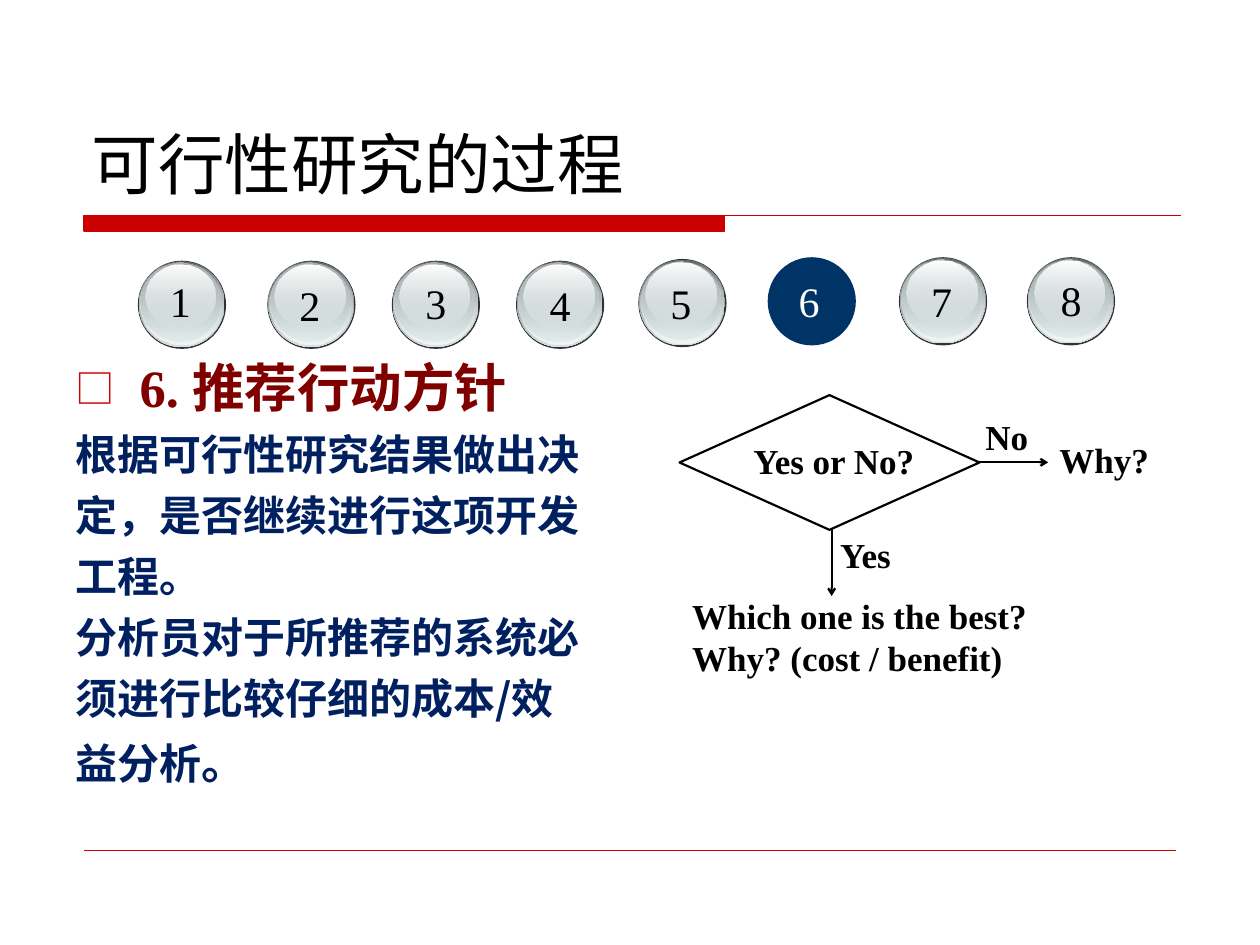
from dataclasses import dataclass
from typing import Optional

from lxml import etree
from pptx import Presentation
from pptx import util as u
from pptx.dml.color import RGBColor
from pptx.enum import shapes, text
from pptx.oxml.ns import qn

SERIF = "Times New Roman"
SANS = "Noto Sans CJK SC"
BLACK, WHITE, RED, NAVY = "000000", "FFFFFF", "CC0000", "003366"


@dataclass
class Style:
    size: float
    font: str = SERIF
    color: str = BLACK
    bold: bool = False
    justified: bool = False


@dataclass
class Layer:
    left: float
    top: float
    width: float
    height: float
    colors: tuple[str, ...]
    opacity: tuple[int, ...] = (100, 100)


@dataclass
class Step:
    number: int
    left: float
    top: float
    label_left: float
    label_top: float


@dataclass
class Label:
    lines: tuple[str, ...]
    left: float
    top: float
    width: float
    height: float


LAYERS = (
    Layer(0, 0, 50.4, 50.4, ("333333",)),
    Layer(0.5, 0.3, 49, 49, ("636869", "D6E1E2")),
    Layer(1.2, 0.6, 47.5, 47.5, ("D6E1E2", "F1F5F5"), (0, 100)),
    Layer(1.6, 1.3, 45.4, 44.6, ("AAB2B3", "D6E1E2"), (100, 48)),
    Layer(4.3, 2.2, 40.3, 36, ("FFFFFF", "D6E1E2"), (100, 38)),
)
STEPS = (
    Step(1, 78.8, 149, 90, 154),
    Step(2, 152.8, 149, 164, 156.2),
    Step(3, 223.9, 149, 236, 154.8),
    Step(4, 294.9, 149, 307, 156.2),
    Step(5, 364.8, 148, 376, 154.8),
    Step(6, 438.7, 147, 449.3, 154),
    Step(7, 513.7, 147, 525, 154),
    Step(8, 586.8, 147, 599, 153.4),
)
CURRENT_STEP = 6
LABELS = (
    Label(("Yes or No?",), 423.4, 247.7, 126.7, 36),
    Label(("No",), 556, 234, 52.6, 38),
    Label(("Yes",), 473, 301.4, 52.6, 38),
    Label(("Why?",), 598.3, 247, 79.2, 46),
    Label(("Which one is the best?", "Why? (cost / benefit)"), 388.4, 336.2, 211, 64),
)
HEADING = "6. 推荐行动方针"
BODY = (
    "根据可行性研究结果做出决",
    "定，是否继续进行这项开发",
    "工程。",
    "分析员对于所推荐的系统必",
    "须进行比较仔细的成本/效",
    "益分析",
)


def rgb(color: str) -> RGBColor:
    return RGBColor.from_string(color)


def add_child(parent, tag: str, **attributes: str):
    return etree.SubElement(parent, qn(tag), attributes)


def style_paragraph(para, style: Style) -> None:
    font = para.font
    font.size = u.Pt(style.size)
    font.bold = style.bold
    font.color.rgb = rgb(style.color)
    font.name = style.font
    properties = para._p.get_or_add_pPr().find(qn("a:defRPr"))
    add_child(properties, "a:ea", typeface=SANS)
    if style.justified:
        para.alignment = text.PP_ALIGN.JUSTIFY


def add_text(page, label: Label, style: Style, wrap: bool = True,
             anchor=text.MSO_ANCHOR.TOP) -> None:
    box = page.shapes.add_textbox(u.Pt(label.left), u.Pt(label.top), u.Pt(label.width), u.Pt(label.height))
    frame = box.text_frame
    frame.word_wrap = wrap
    frame.vertical_anchor = anchor
    frame.text = "\n".join(label.lines)
    for para in frame.paragraphs:
        style_paragraph(para, style)


def add_shape(page, kind, left: float, top: float, width: float, height: float):
    shape = page.shapes.add_shape(kind, u.Pt(left), u.Pt(top), u.Pt(width), u.Pt(height))
    shape.shadow.inherit = False
    return shape


def add_line(page, start: tuple[float, float], end: tuple[float, float],
             color: str, width: float, arrow: bool = False) -> None:
    connector = page.shapes.add_connector(
        shapes.MSO_CONNECTOR.STRAIGHT, *(u.Pt(value) for value in start + end))
    connector.line.color.rgb = rgb(color)
    connector.line.width = u.Pt(width)
    if arrow:
        add_child(connector.line._get_or_add_ln(), "a:tailEnd", type="arrow", w="sm", len="sm")
    add_child(connector._element.spPr, "a:effectLst")


def add_title_rule(page) -> None:
    left, bar_right, right, top, bottom = 48, 414.5, 674.6, 123.3, 132
    builder = page.shapes.build_freeform(left, top, scale=u.Pt(1))
    builder.add_line_segments([(bar_right, top), (bar_right, bottom), (left, bottom)])
    builder.move_to(left, top)
    builder.add_line_segments([(right, top)], close=False)
    rule = builder.convert_to_shape()
    rule.shadow.inherit = False
    rule.fill.solid()
    rule.fill.fore_color.rgb = rule.line.color.rgb = rgb(RED)
    rule.line.width = u.Pt(0.75)


def add_layer(page, step: Step, layer: Layer, color: Optional[str]) -> None:
    disc = add_shape(page, shapes.MSO_SHAPE.OVAL, step.left + layer.left,
                     step.top + layer.top, layer.width, layer.height)
    disc.line.fill.background()
    if color or len(layer.colors) == 1:
        disc.fill.solid()
        disc.fill.fore_color.rgb = rgb(color or layer.colors[0])
        return
    disc.fill.gradient()
    disc.fill.gradient_angle = 270
    for position, (stop, shade) in enumerate(zip(disc.fill.gradient_stops, layer.colors)):
        stop.position = position
        stop.color.rgb = rgb(shade)
    tints = disc._element.spPr.iter(qn("a:srgbClr"))
    for tint, opacity in zip(list(tints), layer.opacity):
        if opacity < 100:
            add_child(tint, "a:alpha", val=str(opacity * 1000))


def add_step(page, step: Step) -> None:
    current = step.number == CURRENT_STEP
    for layer in LAYERS:
        add_layer(page, step, layer, NAVY if current else None)
    label = Label((str(step.number),), step.label_left, step.label_top, 26, 36)
    add_text(page, label, Style(24, color=WHITE if current else BLACK), wrap=False)


def add_body(page) -> None:
    box = page.shapes.add_textbox(u.Pt(36), u.Pt(199.4), u.Pt(328.3), u.Pt(232.6))
    frame = box.text_frame
    frame.word_wrap = True
    frame.text = "\n".join((HEADING,) + BODY)
    heading, *body = frame.paragraphs
    for para in frame.paragraphs:
        properties = para._p.get_or_add_pPr()
        properties.set("marL", str(u.Pt(36.7)))
        properties.set("indent", str(u.Pt(-36.7)))
        if para._p is heading._p:
            add_child(add_child(properties, "a:buClr"), "a:srgbClr", val=RED)
            add_child(properties, "a:buSzPct", val="75000")
            add_child(properties, "a:buFont", typeface=SANS)
            add_child(properties, "a:buChar", char="□")
            style_paragraph(para, Style(30, color="800000", bold=True))
        else:
            para.space_before = u.Pt(6)
            add_child(properties, "a:buNone")
            style_paragraph(para, Style(24, SANS, "002060", True))
    body[-1].space_before = u.Pt(6.5)
    span = body[-1].add_run()
    span.text = "。"
    span.font.size = u.Pt(26)


def main() -> None:
    deck = Presentation()
    deck.slide_width, deck.slide_height = u.Pt(720), u.Pt(540)
    page = deck.slides.add_slide(deck.slide_layouts[6])
    add_title_rule(page)
    add_line(page, (48, 486), (672, 486), RED, 0.25)
    title = Label(("可行性研究的过程",), 45.2, 23.5, 630, 96)
    add_text(page, title, Style(38, SANS), anchor=text.MSO_ANCHOR.BOTTOM)
    add_body(page)
    for step in STEPS:
        add_step(page, step)
    diamond = add_shape(page, shapes.MSO_SHAPE.DIAMOND, 388.3, 225.8, 171.4, 77)
    diamond.fill.background()
    diamond.line.color.rgb = rgb(BLACK)
    diamond.line.width = u.Pt(1.25)
    add_line(page, (559.5, 264.2), (599, 264.2), BLACK, 1.25, arrow=True)
    add_line(page, (475.2, 302.4), (475.2, 340.6), BLACK, 1.25, arrow=True)
    for label in LABELS:
        add_text(page, label, Style(20, bold=True, justified=True))
    deck.save("out.pptx")


if __name__ == "__main__":
    main()
